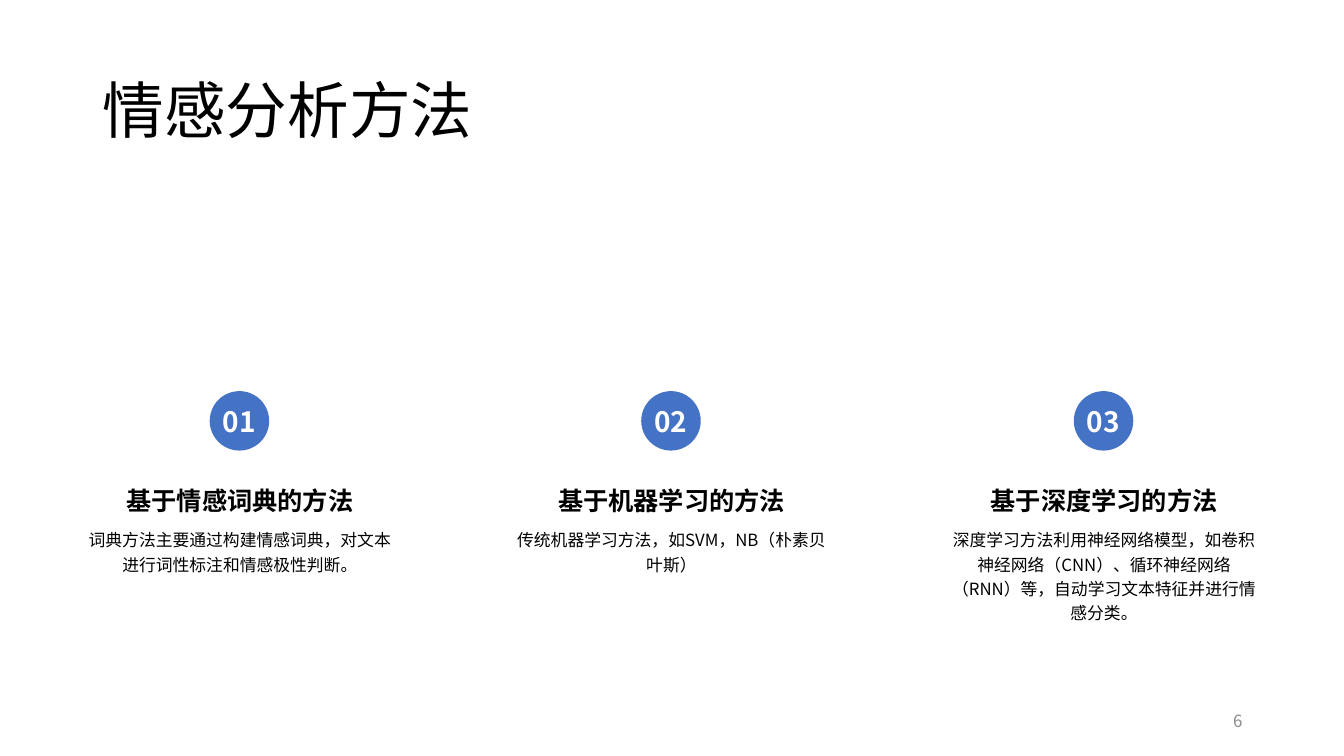
"""Build the slide on three sentiment analysis methods."""
from dataclasses import dataclass

from lxml.etree import SubElement
from pptx import Presentation
from pptx.dml.color import RGBColor
from pptx.enum.shapes import MSO_SHAPE
from pptx.enum.text import MSO_ANCHOR, PP_ALIGN
from pptx.oxml.ns import qn
from pptx.util import Pt

PX = 9144


@dataclass(frozen=True)
class Theme:
    font: str = "Noto Sans CJK SC"
    ink: str = "000000"
    accent: str = "4472C4"
    light: str = "FFFFFF"
    muted: str = "8C8C8C"
    title: int = 44
    badge: int = 20
    heading: int = 18
    body: int = 12


theme = Theme()


def write(shape, text, size, color, align, anchor, bold=False, spacing=1.0, wrap=True):
    frame = shape.text_frame
    frame.text = text
    frame.word_wrap = wrap
    frame.vertical_anchor = anchor
    para = frame.paragraphs[0]
    para.alignment = align
    para.line_spacing = spacing
    span = para.runs[0]
    span.font.size = Pt(size)
    span.font.bold = bold
    span.font.color.rgb = RGBColor.from_string(color)
    span.font.name = theme.font
    SubElement(span.font._element, qn("a:ea"), typeface=theme.font)


def add_text(left, top, width, height, *content, **style):
    box = page.shapes.add_textbox(left * PX, top * PX, width * PX, height * PX)
    write(box, *content, **style)


deck = Presentation()
deck.slide_width = 1333 * PX
deck.slide_height = 750 * PX
page = deck.slides.add_slide(deck.slide_layouts[6])

add_text(92, 40, 1150, 145, "情感分析方法", theme.title, theme.ink,
         PP_ALIGN.LEFT, MSO_ANCHOR.MIDDLE, spacing=0.9)

methods = [
    ("基于情感词典的方法", "词典方法主要通过构建情感词典，对文本进行词性标注和情感极性判断。"),
    ("基于机器学习的方法", "传统机器学习方法，如SVM，NB（朴素贝叶斯）"),
    ("基于深度学习的方法",
     "深度学习方法利用神经网络模型，如卷积神经网络（CNN）、循环神经网络（RNN）等，自动学习文本特征并进行情感分类。"),
]
first_left, last_left = 73, 930
column_width, badge_size = 330, 59

for index, (heading, description) in enumerate(methods):
    left = first_left + index * (last_left - first_left) // (len(methods) - 1)
    add_text(left, 457, column_width, 59, heading, theme.heading, theme.ink,
             PP_ALIGN.CENTER, MSO_ANCHOR.BOTTOM, bold=True)
    add_text(left, 517, column_width, 109, description, theme.body, theme.ink,
             PP_ALIGN.CENTER, MSO_ANCHOR.TOP, spacing=1.2)

    badge_left = left + (column_width - badge_size) // 2
    badge = page.shapes.add_shape(MSO_SHAPE.ROUNDED_RECTANGLE, badge_left * PX, 388 * PX,
                                  badge_size * PX, badge_size * PX)
    badge.adjustments[0] = 0.5
    badge.shadow.inherit = False
    badge.fill.solid()
    badge.fill.fore_color.rgb = RGBColor.from_string(theme.accent)
    badge.line.fill.background()
    write(badge, f"{index + 1:02d}", theme.badge, theme.light,
          PP_ALIGN.CENTER, MSO_ANCHOR.MIDDLE, bold=True, wrap=False)

add_text(942, 695, 300, 40, "6", theme.body, theme.muted,
         PP_ALIGN.RIGHT, MSO_ANCHOR.MIDDLE)

deck.save("out.pptx")
